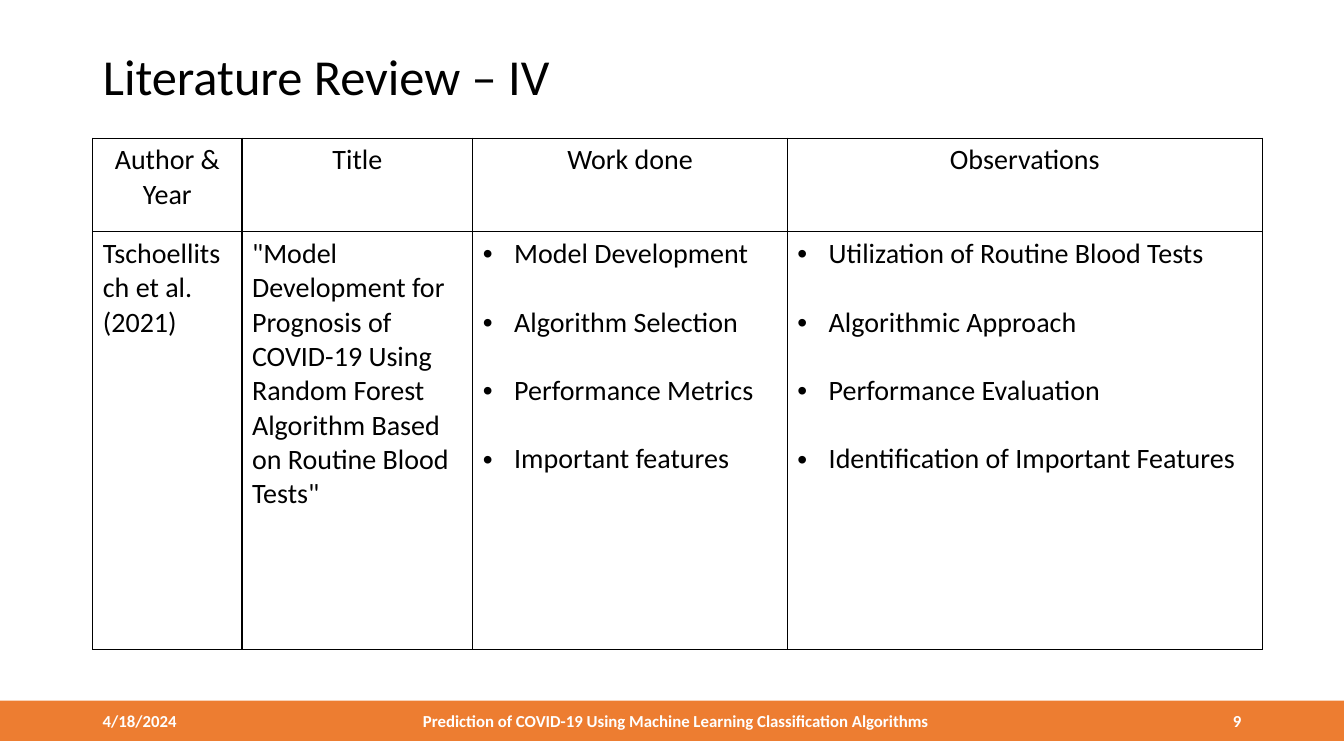
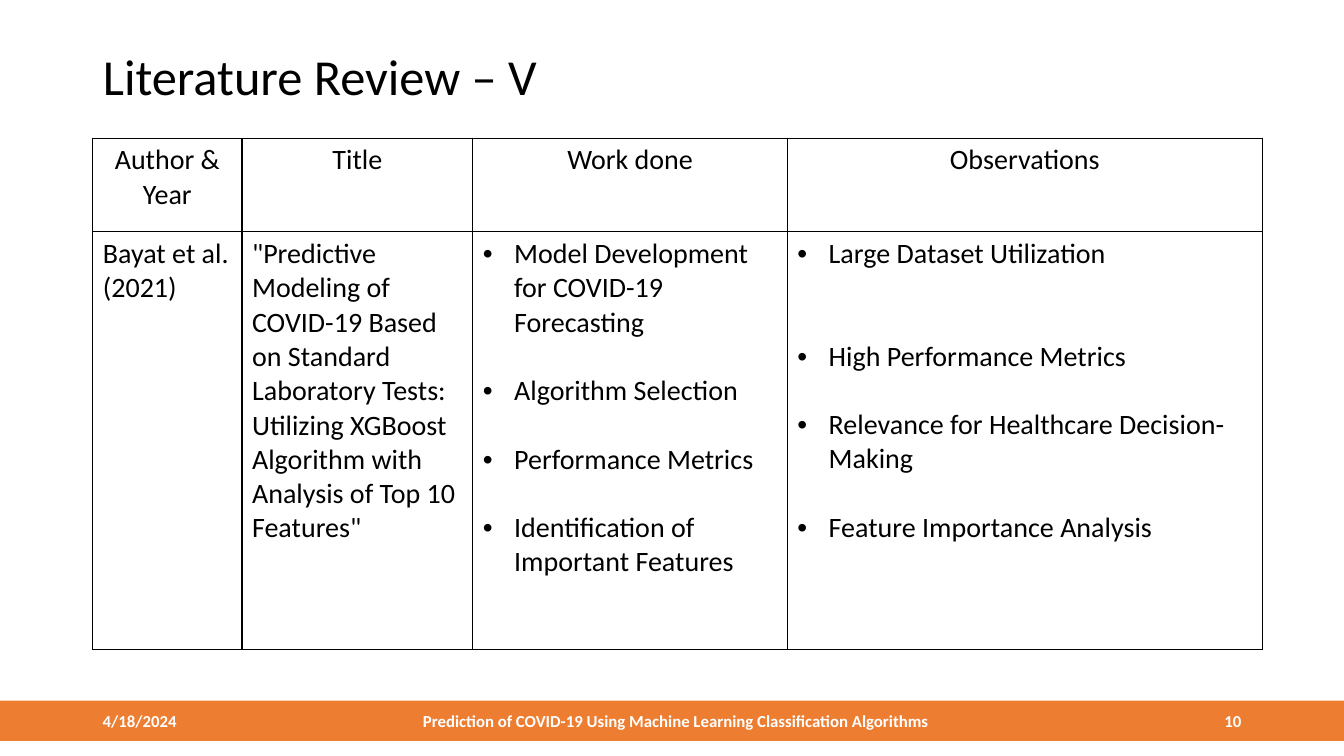
import pptx
import pptx.dml.color
import pptx.enum.shapes
import pptx.enum.text
import pptx.oxml.ns
import pptx.util
from lxml import etree

Inches = pptx.util.Inches
Pt = pptx.util.Pt
ALIGN = pptx.enum.text.PP_ALIGN
MIDDLE = pptx.enum.text.MSO_ANCHOR.MIDDLE
qn = pptx.oxml.ns.qn

COLORS = {"band": "ED7D31", "band_text": "FFFFFF", "text": "000000", "border": "000000"}
FONT = "Calibri"
SLIDE_SIZE = (13.33, 7.5)
TITLE_BOX = (0.92, 0.4, 11.5, 0.77)
TABLE_BOX = (0.92, 1.37, 11.6, 5.07)
BAND_BOX = (0, 6.95, 13.33, 0.4)

COLUMN_WIDTHS = (1.48, 2.29, 3.12, 4.71)
ROW_HEIGHTS = (0.93, 4.14)
HEADINGS = ("Author & Year", "Title", "Work done", "Observations")
BULLET_INDENT = 0.31
LINE_HEIGHT = 24.4  # points, one line of 20 pt text

DATE = "4/18/2024"
FOOTER = "Prediction of COVID-19 Using Machine Learning Classification Algorithms"
FIRST_PAGE = 9

# Each bullet is its text and the number of lines left free above it.
REVIEWS = [
    {
        "heading": "Literature Review – IV",
        "author": "Tschoellitsch et al. (2021)",
        "title": '"Model Development for Prognosis of COVID-19 Using Random Forest '
                 'Algorithm Based on Routine Blood Tests"',
        "work": [("Model Development", 0), ("Algorithm Selection", 1),
                 ("Performance Metrics", 1), ("Important features", 1)],
        "observations": [("Utilization of Routine Blood Tests", 0),
                         ("Algorithmic Approach", 1),
                         ("Performance Evaluation", 1),
                         ("Identification of Important Features", 1)],
    },
    {
        "heading": "Literature Review – V",
        "author": "Bayat et al. (2021)",
        "title": '"Predictive Modeling of COVID-19 Based on Standard Laboratory Tests: '
                 'Utilizing XGBoost Algorithm with Analysis of Top 10 Features"',
        "work": [("Model Development for COVID-19 Forecasting", 0),
                 ("Algorithm Selection", 1), ("Performance Metrics", 1),
                 ("Identification of Important Features", 1)],
        "observations": [("Large Dataset Utilization", 0),
                         ("High Performance Metrics", 2),
                         ("Relevance for Healthcare Decision-Making", 1),
                         ("Feature Importance Analysis", 1)],
    },
]


def rgb(name):
    return pptx.dml.color.RGBColor.from_string(COLORS[name])


def inches(box):
    return [Inches(length) for length in box]


def write(paragraph, text, size=20, color="text", bold=False, align=ALIGN.LEFT,
          line_spacing=None, space_before=0):
    paragraph.alignment = align
    paragraph.line_spacing = line_spacing
    paragraph.space_before = Pt(space_before)
    run = paragraph.add_run()
    run.text = text
    run.font.name = FONT
    run.font.size = Pt(size)
    run.font.bold = bold
    run.font.color.rgb = rgb(color)


def add_bullet(paragraph):
    properties = paragraph._p.get_or_add_pPr()
    indent = Inches(BULLET_INDENT)
    properties.set("marL", str(indent))
    properties.set("indent", str(-indent))
    etree.SubElement(properties, qn("a:buFont"), typeface="Arial")
    etree.SubElement(properties, qn("a:buChar"), char="•")


def write_bullets(text_frame, bullets):
    for index, (text, free_lines) in enumerate(bullets):
        paragraph = text_frame.add_paragraph() if index else text_frame.paragraphs[0]
        write(paragraph, text, space_before=free_lines * LINE_HEIGHT)
        add_bullet(paragraph)


def frame_cell(cell):
    """Give the cell a thin border on every side and no fill."""
    properties = cell._tc.get_or_add_tcPr()
    for side in ("a:lnL", "a:lnR", "a:lnT", "a:lnB"):
        line = etree.SubElement(properties, qn(side), w=str(Pt(1)))
        fill = etree.SubElement(line, qn("a:solidFill"))
        etree.SubElement(fill, qn("a:srgbClr"), val=COLORS["border"])
    cell.fill.background()


def add_title(slide, box, text):
    title = slide.shapes.title
    title.left, title.top, title.width, title.height = inches(box)
    frame = title.text_frame
    frame.auto_size = pptx.enum.text.MSO_AUTO_SIZE.NONE
    frame.vertical_anchor = MIDDLE
    write(frame.paragraphs[0], text, size=36, line_spacing=0.9)


def add_review_table(slide, box, review):
    table = slide.shapes.add_table(
        len(ROW_HEIGHTS), len(COLUMN_WIDTHS), *inches(box)).table
    table.first_row = table.horz_banding = False
    for column, width in zip(table.columns, COLUMN_WIDTHS):
        column.width = Inches(width)
    for row, height in zip(table.rows, ROW_HEIGHTS):
        row.height = Inches(height)
    for cell in table.iter_cells():
        frame_cell(cell)

    for index, heading in enumerate(HEADINGS):
        write(table.cell(0, index).text_frame.paragraphs[0], heading, align=ALIGN.CENTER)
    for index, key in enumerate(("author", "title")):
        write(table.cell(1, index).text_frame.paragraphs[0], review[key])
    for index, key in enumerate(("work", "observations"), start=2):
        write_bullets(table.cell(1, index).text_frame, review[key])


def add_footer_band(slide, box, page):
    left, top, width, height = box
    band = slide.shapes.add_shape(
        pptx.enum.shapes.MSO_SHAPE.RECTANGLE, *inches(box))
    band.shadow.inherit = False
    band.fill.solid()
    band.fill.fore_color.rgb = rgb("band")
    band.line.fill.background()

    margin, side_width, center_width = 0.92, 3, 6.31
    parts = (
        (DATE, left + margin, side_width, ALIGN.LEFT),
        (FOOTER, left + 3.55, center_width, ALIGN.CENTER),
        (str(page), left + width - margin - side_width, side_width, ALIGN.RIGHT),
    )
    for text, part_left, part_width, align in parts:
        text_box = slide.shapes.add_textbox(*inches((part_left, top, part_width, height)))
        frame = text_box.text_frame
        frame.word_wrap = True
        frame.vertical_anchor = MIDDLE
        write(frame.paragraphs[0], text, size=12, color="band_text", bold=True, align=align)


def add_review_slide(presentation, review, page):
    title_only = presentation.slide_layouts.get_by_name("Title Only")
    slide = presentation.slides.add_slide(title_only)
    add_footer_band(slide, BAND_BOX, page)
    add_title(slide, TITLE_BOX, review["heading"])
    add_review_table(slide, TABLE_BOX, review)


def main():
    presentation = pptx.Presentation()
    presentation.slide_width, presentation.slide_height = inches(SLIDE_SIZE)
    for page, review in enumerate(REVIEWS, start=FIRST_PAGE):
        add_review_slide(presentation, review, page)
    presentation.save("out.pptx")


if __name__ == "__main__":
    main()
